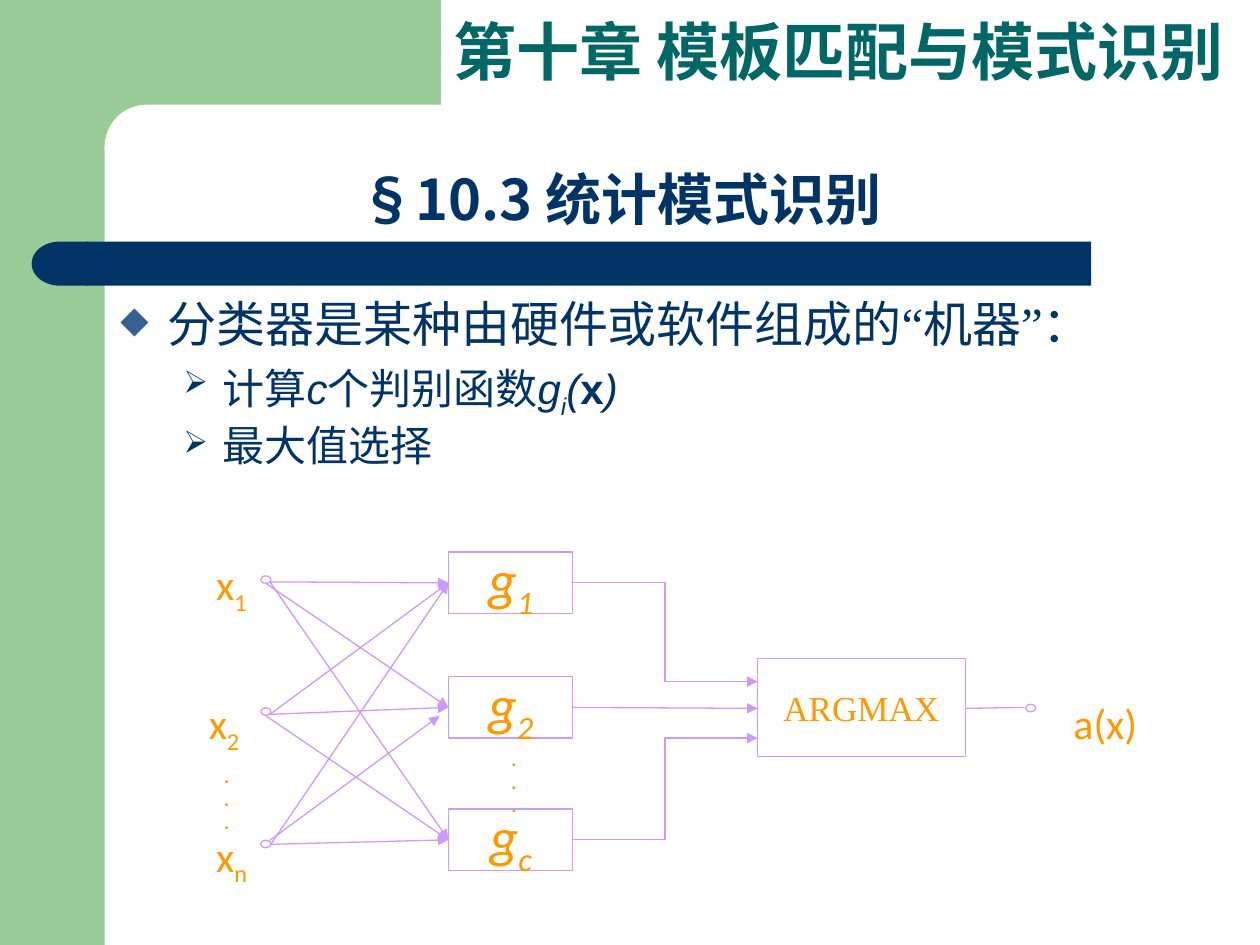
from lxml.etree import SubElement
from pptx import Presentation
from pptx.dml.color import RGBColor
from pptx.enum.shapes import MSO_CONNECTOR as CONN, MSO_SHAPE as SHAPE
from pptx.enum.text import MSO_ANCHOR as ANCHOR, MSO_AUTO_SIZE as AUTO, PP_ALIGN as ALIGN
from pptx.oxml.ns import qn
from pptx.util import Cm, Pt

COLORS = {"green": "99CC99", "white": "FFFFFF", "navy": "003366", "teal": "006666",
          "bullet": "376092", "violet": "CC99FF", "orange": "FF9900"}
SUB = {"baseline": -25000}
ITALIC = {"italic": True}
TIMES = {"name": "Times New Roman"}

# Text formats
CHAPTER = {"name": "Noto Sans CJK SC", "size": Pt(36), "bold": True, "color": "teal"}
SECTION = {**CHAPTER, "size": Pt(32), "color": "navy"}
BODY = {"name": "Arial", "size": Pt(28), "color": "navy"}
SUBBODY = {**BODY, "size": Pt(24)}
LABEL = {"name": "Calibri", "size": Pt(24), "color": "orange"}
FUNCTION = {**LABEL, "size": Pt(32), "italic": True}
DOTS = {**LABEL, "size": Pt(11), "bold": True}
SELECTOR = {**LABEL, **TIMES, "size": Pt(20)}

# Network geometry in cm
ROWS = [11.75, 14.26, 16.93]
BOX_X, BOX_W, BOX_H = 9.04, 2.51, 1.24
ARGMAX_X, ARGMAX_W, ARGMAX_H = 15.27, 4.19, 1.98


def rgb(name):
    return RGBColor.from_string(COLORS[name])


def add_runs(p, runs, base):
    for text, extra in runs:
        r = p.add_run()
        r.text = text
        for key, value in {**base, **extra}.items():
            if key == "color":
                r.font.color.rgb = rgb(value)
            elif key == "baseline":
                r.font._element.set("baseline", str(value))
            else:
                setattr(r.font, key, value)
        ea = SubElement(r.font._element, qn("a:ea"))
        ea.set("typeface", r.font.name)


def set_frame(tf, wrap=True, anchor=ANCHOR.TOP):
    values = {"word_wrap": wrap, "vertical_anchor": anchor, "auto_size": AUTO.NONE,
              "margin_left": Cm(0.25), "margin_right": Cm(0.25),
              "margin_top": Cm(0.13), "margin_bottom": Cm(0.13)}
    for key, value in values.items():
        setattr(tf, key, value)


def add_text(slide, box, paragraphs, base, wrap=True):
    tf = slide.shapes.add_textbox(*map(Cm, box)).text_frame
    set_frame(tf, wrap)
    for i, runs in enumerate(paragraphs):
        p = tf.add_paragraph() if i else tf.paragraphs[0]
        add_runs(p, runs, base)
    return tf


def add_shape(slide, kind, box, fill=None, line=None, adj=None):
    sp = slide.shapes.add_shape(kind, *map(Cm, box))
    sp.shadow.inherit = False
    if adj is not None:
        sp.adjustments[0] = adj
    if fill:
        sp.fill.solid()
        sp.fill.fore_color.rgb = rgb(fill)
    else:
        sp.fill.background()
    if line:
        sp.line.color.rgb = rgb(line)
        sp.line.width = Pt(0.75)
    else:
        sp.line.fill.background()
    return sp


def add_box(slide, box, runs, base):
    sp = add_shape(slide, SHAPE.RECTANGLE, box, line="violet")
    set_frame(sp.text_frame, wrap=False, anchor=ANCHOR.MIDDLE)
    p = sp.text_frame.paragraphs[0]
    p.alignment = ALIGN.CENTER
    add_runs(p, runs, base)


def add_node(slide, x, y):
    add_shape(slide, SHAPE.OVAL, (x, y, 0.2, 0.15), line="violet")


def add_link(slide, start, end, kind=CONN.STRAIGHT, arrow=True):
    cn = slide.shapes.add_connector(kind, *map(Cm, (*start, *end)))
    cn.line.color.rgb = rgb("violet")
    cn.line.width = Pt(0.75)
    if arrow:
        SubElement(cn.line._get_or_add_ln(), qn("a:tailEnd")).set("type", "triangle")
    SubElement(cn._element.spPr, qn("a:effectLst"))


def set_bullet(p, char, color, left, hang, level, before):
    p.level = level
    pPr = p._p.get_or_add_pPr()
    pPr.set("marL", str(Cm(left)))
    pPr.set("indent", str(-Cm(hang)))
    clr = SubElement(pPr, qn("a:buClr"))
    SubElement(clr, qn("a:srgbClr")).set("val", COLORS[color])
    SubElement(pPr, qn("a:buSzPct")).set("val", "75000")
    SubElement(pPr, qn("a:buChar")).set("char", char)
    p.line_spacing = 0.9
    p.space_before = Pt(before)


def add_background(slide):
    add_shape(slide, SHAPE.RECTANGLE, (0, 0, 2.11, 19.05), "green")
    add_shape(slide, SHAPE.RECTANGLE, (1.9, 0, 6.99, 2.97), "green")
    add_shape(slide, SHAPE.ROUNDED_RECTANGLE, (2.11, 2.11, 14.17, 1.7), "white", adj=0.5)
    add_shape(slide, SHAPE.RECTANGLE, (1.73, 4.87, 20.27, 0.89), "navy")
    cap = add_shape(slide, SHAPE.FLOWCHART_DELAY, (0.64, 4.87, 1.14, 0.89), "navy")
    cap._element.spPr.xfrm.set("flipH", "1")


def add_headings(slide):
    add_text(slide, (8.89, 0.13, 16.51, 1.78), [[("第十章 模板匹配与模式识别", {})]], CHAPTER)
    title = slide.shapes.title
    for key, value in zip(("left", "top", "width", "height"), (6.99, 3.18, 12.5, 1.63)):
        setattr(title, key, Cm(value))
    set_frame(title.text_frame)
    p = title.text_frame.paragraphs[0]
    p.alignment = ALIGN.LEFT
    add_runs(p, [("§10.3 统计模式识别", {})], SECTION)
    # Bring the title in front of the background
    slide.shapes._spTree.append(title._element)


def add_body(slide):
    small = {"size": SUBBODY["size"]}
    compute = [("计算", {}), ("c", ITALIC), ("个判别函数", {}), ("g", ITALIC),
               ("i", {**ITALIC, **SUB}), ("(", ITALIC), ("x", {"bold": True}), (")", ITALIC)]
    paragraphs = [
        [("分类器是某种由硬件或软件组成的", {}), ("“", TIMES), ("机器", {}),
         ("”", TIMES), ("：", {})],
        [(text, {**small, **extra}) for text, extra in compute],
        [("最大值选择", small)],
    ]
    tf = add_text(slide, (2.18, 5.92, 23.22, 4.19), paragraphs, BODY)
    first, *rest = tf.paragraphs
    set_bullet(first, "◆", "bullet", 0.95, 0.95, 0, 7)
    for p in rest:
        set_bullet(p, "➢", "navy", 2.06, 0.79, 1, 6)


def add_network(slide):
    # Inputs and discriminant functions
    labels = [("1", 4.11, 11.13), ("2", 3.96, 13.94), ("n", 4.11, 16.61)]
    for (sub, x, y), node_y in zip(labels, (11.61, 14.27, 16.94)):
        add_text(slide, (x, y, 1.12, 1.42), [[("x", {}), (sub, SUB)]], LABEL, wrap=False)
        add_node(slide, 5.26, node_y)
    for sub, y in zip("12c", ROWS):
        add_box(slide, (BOX_X, y - BOX_H / 2, BOX_W, BOX_H), [("g", {}), (sub, SUB)], FUNCTION)
    for x, y in ((10.06, 14.94), (4.27, 15.27)):
        add_text(slide, (x, y, 0.61, 1.65), [[(".", {})]] * 3, DOTS)

    # Every input feeds every function
    starts = [[(5.44, 11.73), (5.36, 11.76), (5.44, 11.73)],
              [(5.44, 14.4), (5.44, 14.4), (5.36, 14.43)],
              [(5.46, 17.02), (5.44, 16.94), (5.46, 17.02)]]
    for i, row in enumerate(starts):
        for j, start in enumerate(row):
            end = (8.86, 14.43) if (i, j) == (2, 1) else (BOX_X, ROWS[j])
            add_link(slide, start, end)

    # Maximum selector and output
    mid = ROWS[1]
    add_box(slide, (ARGMAX_X, mid - ARGMAX_H / 2, ARGMAX_W, ARGMAX_H), [("ARGMAX", {})], SELECTOR)
    kinds = (CONN.ELBOW, CONN.STRAIGHT, CONN.ELBOW)
    for y, end_y, kind in zip(ROWS, (13.74, 14.28, 14.88), kinds):
        add_link(slide, (BOX_X + BOX_W, y), (ARGMAX_X, end_y), kind)
    add_link(slide, (ARGMAX_X + ARGMAX_W, 14.28), (20.65, mid), arrow=False)
    add_node(slide, 20.68, 14.2)
    add_text(slide, (21.39, 13.94, 1.78, 1.27), [[("a(x)", {})]], LABEL, wrap=False)


def main():
    prs = Presentation()
    prs.slide_width, prs.slide_height = Cm(25.4), Cm(19.05)
    slide = prs.slides.add_slide(prs.slide_layouts[5])
    add_background(slide)
    add_body(slide)
    add_network(slide)
    add_headings(slide)
    prs.save("out.pptx")


if __name__ == "__main__":
    main()
